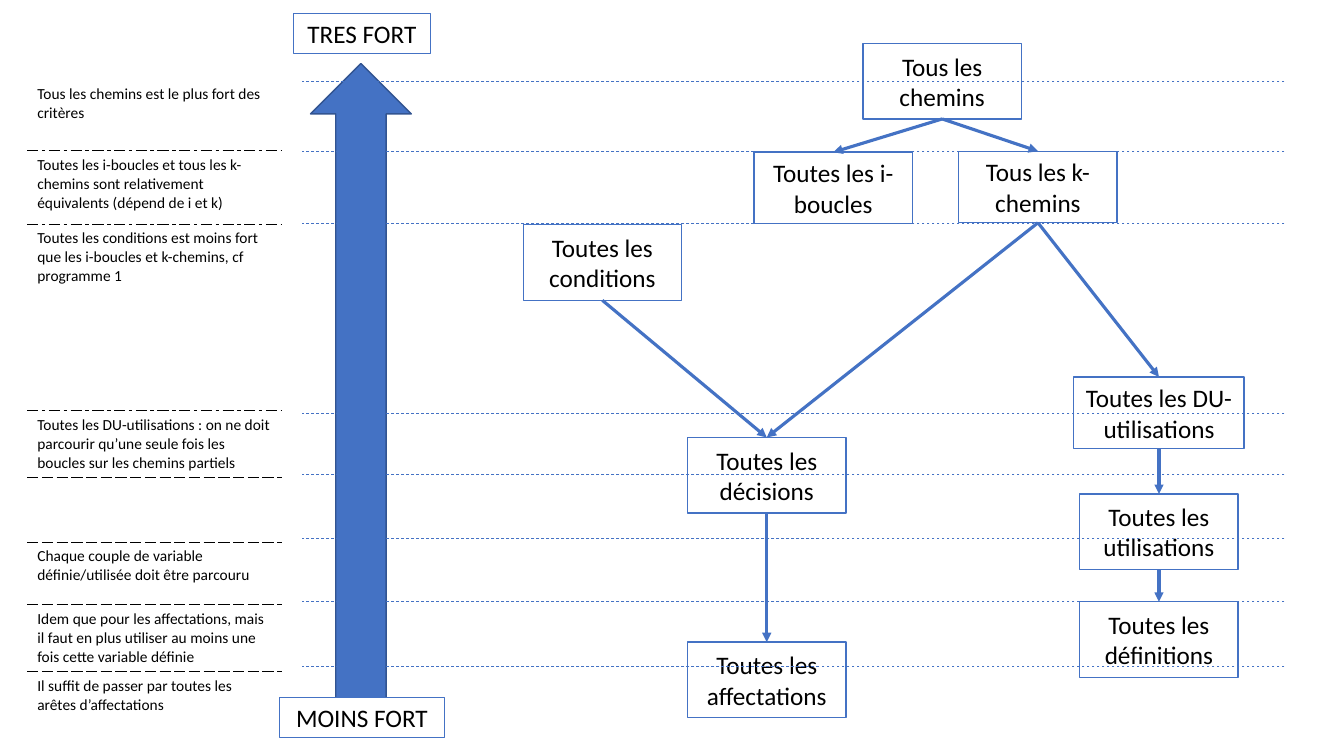
from lxml import etree
from pptx import Presentation
from pptx.dml.color import RGBColor
from pptx.enum.dml import MSO_LINE
from pptx.enum.shapes import MSO_CONNECTOR, MSO_SHAPE
from pptx.enum.text import MSO_ANCHOR, PP_ALIGN
from pptx.oxml.ns import qn
from pptx.util import Inches, Pt

STRAIGHT = MSO_CONNECTOR.STRAIGHT
RECTANGLE = MSO_SHAPE.RECTANGLE
DOWN_ARROW = MSO_SHAPE.DOWN_ARROW
DASH = MSO_LINE.DASH
CENTER = PP_ALIGN.CENTER
MIDDLE = MSO_ANCHOR.MIDDLE
TOP_SITE, BOTTOM_SITE = 0, 2

FONT = "Calibri"
BLUE, DARK_BLUE, WHITE, BLACK = "4472C4", "325491", "FFFFFF", "000000"
BOX_WIDTH, BOX_HEIGHT, LOW_HEIGHT = 1.57, 0.75, 0.71

# name: (text, left, top, width, height)
CRITERIA = {
    "affectations": ("Toutes les affectations", 6.82, 6.37, BOX_WIDTH, BOX_HEIGHT),
    "décisions": ("Toutes les décisions", 6.82, 4.34, BOX_WIDTH, BOX_HEIGHT),
    "chemins": ("Tous les chemins", 8.56, 0.43, BOX_WIDTH, BOX_HEIGHT),
    "i-boucles": ("Toutes les i-boucles", 7.48, 1.51, BOX_WIDTH, LOW_HEIGHT),
    "utilisations": ("Toutes les utilisations", 10.71, 4.9, BOX_WIDTH, BOX_HEIGHT),
    "définitions": ("Toutes les définitions", 10.71, 5.97, BOX_WIDTH, BOX_HEIGHT),
    "DU-utilisations": ("Toutes les DU-utilisations", 10.65, 3.74, 1.69, LOW_HEIGHT),
    "conditions": ("Toutes les conditions", 5.19, 2.23, BOX_WIDTH, BOX_HEIGHT),
    "k-chemins": ("Tous les k-chemins", 9.51, 1.5, BOX_WIDTH, LOW_HEIGHT),
}
IMPLICATIONS = [
    ("utilisations", "définitions"),
    ("chemins", "k-chemins"),
    ("DU-utilisations", "utilisations"),
    ("conditions", "décisions"),
    ("k-chemins", "décisions"),
    ("k-chemins", "DU-utilisations"),
    ("chemins", "i-boucles"),
    ("décisions", "affectations"),
]
LEVELS = [6.61, 5.97, 5.34, 4.71, 4.1, 2.22, 1.5, 0.81]

# (row height, text, dash of the border below)
EXPLANATIONS = [
    (0.7, "Tous les chemins est le plus fort des critères", "lgDashDot"),
    (0.73, "Toutes les i-boucles et tous les k-chemins sont relativement "
           "équivalents (dépend de i et k)", "lgDashDot"),
    (1.85, "Toutes les conditions est moins fort que les i-boucles et "
           "k-chemins, cf programme 1", "lgDashDot"),
    (0.65, "Toutes les DU-utilisations : on ne doit parcourir qu’une seule "
           "fois les boucles sur les chemins partiels", "lgDash"),
    (0.64, "", "lgDash"),
    (0.62, "Chaque couple de variable définie/utilisée doit être parcouru", "lgDash"),
    (0.65, "Idem que pour les affectations, mais il faut en plus utiliser au "
           "moins une fois cette variable définie", "lgDash"),
    (0.79, "Il suffit de passer par toutes les arêtes d’affectations", None),
]


def color(hex_text):
    """Turn a hex string into a colour."""
    return RGBColor.from_string(hex_text)


def style_paragraph(paragraph, size):
    """Set the font of a paragraph."""
    paragraph.font.name = FONT
    paragraph.font.size = Pt(size)
    paragraph.font.color.rgb = color(BLACK)


def add_filled_shape(slide, kind, box, fill, line, line_width):
    """Add a preset shape with a solid fill and an outline."""
    shape = slide.shapes.add_shape(kind, *map(Inches, box))
    shape.shadow.inherit = False
    shape.fill.solid()
    shape.fill.fore_color.rgb = color(fill)
    shape.line.color.rgb = color(line)
    shape.line.width = Pt(line_width)
    return shape


def add_box(slide, text, left, top, width, height, line_width=1):
    """Add a white box with centred text."""
    shape = add_filled_shape(slide, RECTANGLE, (left, top, width, height),
                             WHITE, BLUE, line_width)
    frame = shape.text_frame
    frame.word_wrap = True
    frame.vertical_anchor = MIDDLE
    frame.text = text
    paragraph = frame.paragraphs[0]
    paragraph.alignment = CENTER
    style_paragraph(paragraph, 18)
    return shape


def add_line(slide, start, end, width):
    """Add a straight blue line without shadow."""
    connector = slide.shapes.add_connector(STRAIGHT, *map(Inches, start + end))
    connector.line.color.rgb = color(BLUE)
    connector.line.width = Pt(width)
    etree.SubElement(connector._element.spPr, qn("a:effectLst"))
    return connector


def add_implication(slide, stronger, weaker):
    """Join two boxes by an arrow from bottom to top."""
    arrow = add_line(slide, (0, 0), (0, 0), 2.25)
    arrow.begin_connect(stronger, BOTTOM_SITE)
    arrow.end_connect(weaker, TOP_SITE)
    etree.SubElement(arrow.line._get_or_add_ln(), qn("a:tailEnd"), type="triangle")


def set_borders(cell, dash_above, dash_below):
    """Give a cell dashed borders above and below, and none at the sides."""
    properties = cell._tc.get_or_add_tcPr()
    dashes = {"L": None, "R": None, "T": dash_above, "B": dash_below}
    for index, (side, dash) in enumerate(dashes.items()):
        border = etree.Element(qn("a:ln" + side), w=str(Pt(0.25)))
        if dash:
            fill = etree.SubElement(border, qn("a:solidFill"))
            etree.SubElement(fill, qn("a:srgbClr"), val=BLACK)
            etree.SubElement(border, qn("a:prstDash"), val=dash)
        else:
            etree.SubElement(border, qn("a:noFill"))
        properties.insert(index, border)


def add_explanations(slide, left, top, width):
    """Add the one-column table that explains the ranking."""
    total = sum(height for height, _, _ in EXPLANATIONS)
    table = slide.shapes.add_table(len(EXPLANATIONS), 1, Inches(left), Inches(top),
                                   Inches(width), Inches(total)).table
    table.first_row = False
    table.horz_banding = False
    dash_above = None
    for index, (height, text, dash_below) in enumerate(EXPLANATIONS):
        table.rows[index].height = Inches(height)
        cell = table.cell(index, 0)
        cell.text = text
        cell.fill.background()
        style_paragraph(cell.text_frame.paragraphs[0], 11)
        set_borders(cell, dash_above, dash_below)
        dash_above = dash_below


def main():
    """Build the slide and save it."""
    presentation = Presentation()
    presentation.slide_width = Inches(13.33)
    presentation.slide_height = Inches(7.5)
    slide = presentation.slides.add_slide(presentation.slide_layouts[6])

    boxes = {name: add_box(slide, *box) for name, box in CRITERIA.items()}
    for stronger, weaker in IMPLICATIONS:
        add_implication(slide, boxes[stronger], boxes[weaker])

    strength_arrow = add_filled_shape(slide, DOWN_ARROW, (3.08, 0.63, 1, 6.62),
                                      BLUE, DARK_BLUE, 1)
    strength_arrow.rotation = 180
    for level in LEVELS:
        add_line(slide, (12.74, level), (3, level), 0.5).line.dash_style = DASH

    add_box(slide, "TRES FORT", 2.91, 0.13, 1.36, 0.4, 0.75)
    add_box(slide, "MOINS FORT", 2.77, 6.92, 1.64, 0.4, 0.75)
    add_explanations(slide, 0.27, 0.79, 2.53)

    presentation.save("out.pptx")


main()
